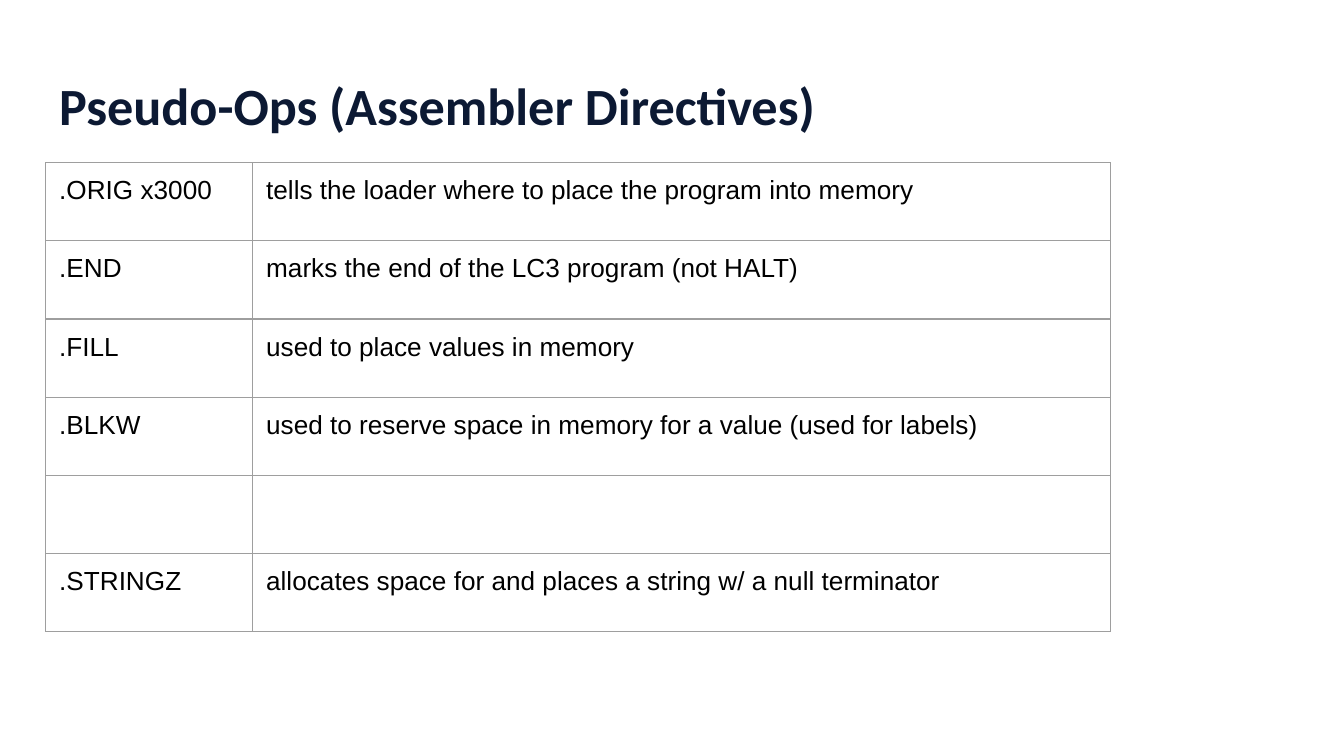
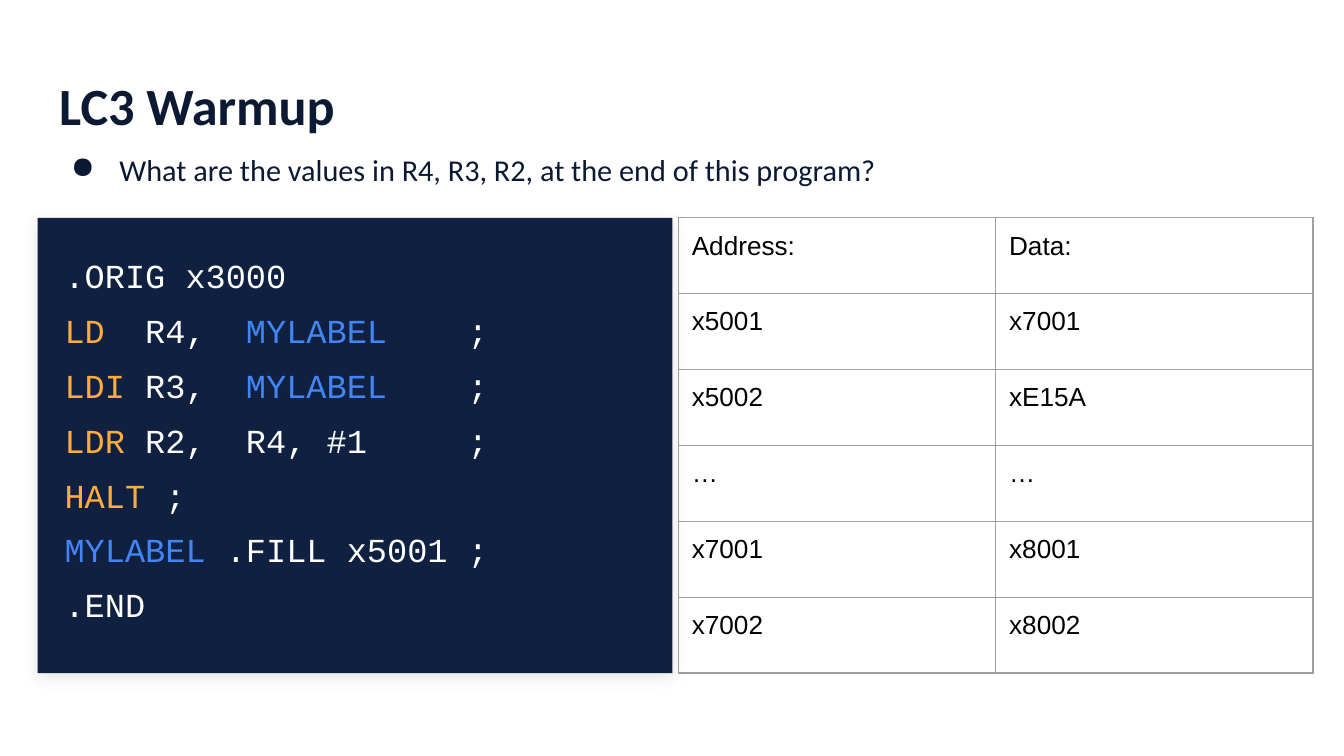
from dataclasses import dataclass

from lxml import etree
from pptx import Presentation
from pptx.dml.color import RGBColor
from pptx.enum.shapes import MSO_SHAPE
from pptx.enum.text import MSO_ANCHOR, MSO_AUTO_SIZE, PP_ALIGN
from pptx.oxml import parse_xml
from pptx.oxml.ns import nsdecls, qn
from pptx.util import Pt

RECT = MSO_SHAPE.RECTANGLE
TOP, MIDDLE, BOTTOM = MSO_ANCHOR.TOP, MSO_ANCHOR.MIDDLE, MSO_ANCHOR.BOTTOM
LEFT = PP_ALIGN.LEFT
NO_AUTOFIT = MSO_AUTO_SIZE.NONE


@dataclass(frozen=True)
class Theme:
    ink: str = "0C1933"
    panel: str = "0F2040"
    white: str = "FFFFFF"
    opcode: str = "FFAB40"
    label: str = "4285F4"
    cell: str = "000000"
    border: str = "9E9E9E"
    sans: str = "Calibri"
    table: str = "Arial"
    mono: str = "Courier New"


T = Theme()
TITLE = dict(name=T.sans, size=Pt(28), bold=True, color=T.ink)
QUESTION = dict(name=T.sans, size=Pt(16.2), color=T.ink)
CELL = dict(name=T.table, size=Pt(14), color=T.cell)
CODE = dict(name=T.mono, size=Pt(18))

DIRECTIVES = [
    (".ORIG x3000", "tells the loader where to place the program into memory"),
    (".END", "marks the end of the LC3 program (not HALT)"),
    (".FILL", "used to place values in memory"),
    (".BLKW", "used to reserve space in memory for a value (used for labels)"),
    ("", ""),
    (".STRINGZ", "allocates space for and places a string w/ a null terminator"),
]
WARMUP_QUESTION = "What are the values in R4, R3, R2, at the end of this program?"
PROGRAM = [
    [(".ORIG x3000", T.white)],
    [("LD ", T.opcode), (" R4,  ", T.white), ("MYLABEL ", T.label), ("   ;", T.white)],
    [("LDI ", T.opcode), ("R3,  ", T.white), ("MYLABEL ", T.label), ("   ;", T.white)],
    [("LDR ", T.opcode), ("R2,  R4, #1     ;", T.white)],
    [("HALT ", T.opcode), (";", T.white)],
    [("MYLABEL ", T.label), (".FILL x5001 ;", T.white)],
    [(".END", T.white)],
]
MEMORY = [
    ("Address:", "Data:"),
    ("x5001", "x7001"),
    ("x5002", "xE15A"),
    ("…", "…"),
    ("x7001", "x8001"),
    ("x7002", "x8002"),
]

# Boxes are left, top, width, height in points
SLIDE_W, SLIDE_H = 720, 405
TITLE_BOX = (24.5, 29.5, 671, 43.2)
QUESTION_BOX = (20.9, 77.8, 677.5, 26.6)
PANEL_TOP, PANEL_W, PANEL_H = 116.7, 340, 244
CODE_BOX = (20.2, PANEL_TOP, PANEL_W, PANEL_H)
PAD = 7.2


def add_run(p, text, color, **font):
    r = p.add_run()
    r.text = text
    for key, value in font.items():
        setattr(r.font, key, value)
    r.font.color.rgb = RGBColor.from_string(color)


def format_frame(tf, anchor, left=PAD, top=PAD, right=PAD, bottom=PAD):
    values = dict(word_wrap=True, auto_size=NO_AUTOFIT, vertical_anchor=anchor,
                  margin_left=Pt(left), margin_top=Pt(top),
                  margin_right=Pt(right), margin_bottom=Pt(bottom))
    for key, value in values.items():
        setattr(tf, key, value)


def add_titled_slide(prs, text):
    s = prs.slides.add_slide(prs.slide_layouts[5])
    sp = s.shapes.title
    sp.left, sp.top, sp.width, sp.height = map(Pt, TITLE_BOX)
    format_frame(sp.text_frame, BOTTOM, bottom=0)
    p = sp.text_frame.paragraphs[0]
    p.alignment = LEFT
    add_run(p, text, **TITLE)
    return s


def set_borders(cell):
    cell.fill.background()
    tc_pr = cell._tc.get_or_add_tcPr()
    for i, side in enumerate("LRTB"):
        tc_pr.insert(i, parse_xml(
            f'<a:ln{side} {nsdecls("a")} w="{Pt(0.75)}"><a:solidFill>'
            f'<a:srgbClr val="{T.border}"/></a:solidFill></a:ln{side}>'))


def add_grid(s, rows, left, top, col_widths, height):
    frame = s.shapes.add_table(len(rows), len(col_widths), Pt(left), Pt(top),
                               Pt(sum(col_widths)), Pt(height))
    table = frame.table
    table.first_row = table.horz_banding = False
    for col, width in zip(table.columns, col_widths):
        col.width = Pt(width)
    for row, texts in zip(table.rows, rows):
        row.height = Pt(height / len(rows))
        for cell, text in zip(row.cells, texts):
            for side in ("left", "top", "right", "bottom"):
                setattr(cell, f"margin_{side}", Pt(PAD))
            cell.vertical_anchor = TOP
            set_borders(cell)
            if text:
                add_run(cell.text_frame.paragraphs[0], text, **CELL)


def add_question(s, text):
    tf = s.shapes.add_textbox(*map(Pt, QUESTION_BOX)).text_frame
    format_frame(tf, TOP)
    p = tf.paragraphs[0]
    p.line_spacing = 0.8
    add_run(p, text, **QUESTION)
    p_pr = p._p.get_or_add_pPr()
    p_pr.set("marL", str(Pt(36)))
    p_pr.set("indent", str(Pt(-26)))
    color = etree.SubElement(p_pr, qn("a:buClr"))
    etree.SubElement(color, qn("a:srgbClr"), val=T.ink)
    etree.SubElement(p_pr, qn("a:buChar"), char="●")


def add_soft_shadow(sp):
    sp._element.spPr.append(parse_xml(
        f'<a:effectLst {nsdecls("a")}><a:outerShdw blurRad="{Pt(9)}" '
        f'dist="{Pt(2.2)}" dir="5400000" algn="t" rotWithShape="0">'
        '<a:srgbClr val="000000"><a:alpha val="9000"/></a:srgbClr>'
        '</a:outerShdw></a:effectLst>'))


def add_code_panel(s, lines):
    sp = s.shapes.add_shape(RECT, *map(Pt, CODE_BOX))
    sp.fill.solid()
    sp.fill.fore_color.rgb = RGBColor.from_string(T.panel)
    sp.line.fill.background()
    add_soft_shadow(sp)
    tf = sp.text_frame
    format_frame(tf, MIDDLE, left=14.4, right=14.4, bottom=21)
    for i, line in enumerate(lines):
        p = tf.add_paragraph() if i else tf.paragraphs[0]
        p.alignment = LEFT
        p.line_spacing = 1.36
        for text, color in line:
            add_run(p, text, color, **CODE)


def main():
    prs = Presentation()
    prs.slide_width, prs.slide_height = Pt(SLIDE_W), Pt(SLIDE_H)

    s = add_titled_slide(prs, "Pseudo-Ops (Assembler Directives)")
    add_grid(s, DIRECTIVES, 24.5, 87.1, (110.9, 459.4), 251.4)

    s = add_titled_slide(prs, "LC3 Warmup")
    add_question(s, WARMUP_QUESTION)
    add_code_panel(s, PROGRAM)
    add_grid(s, MEMORY, 363.4, PANEL_TOP, (PANEL_W / 2,) * 2, PANEL_H)

    prs.save("out.pptx")


if __name__ == "__main__":
    main()
